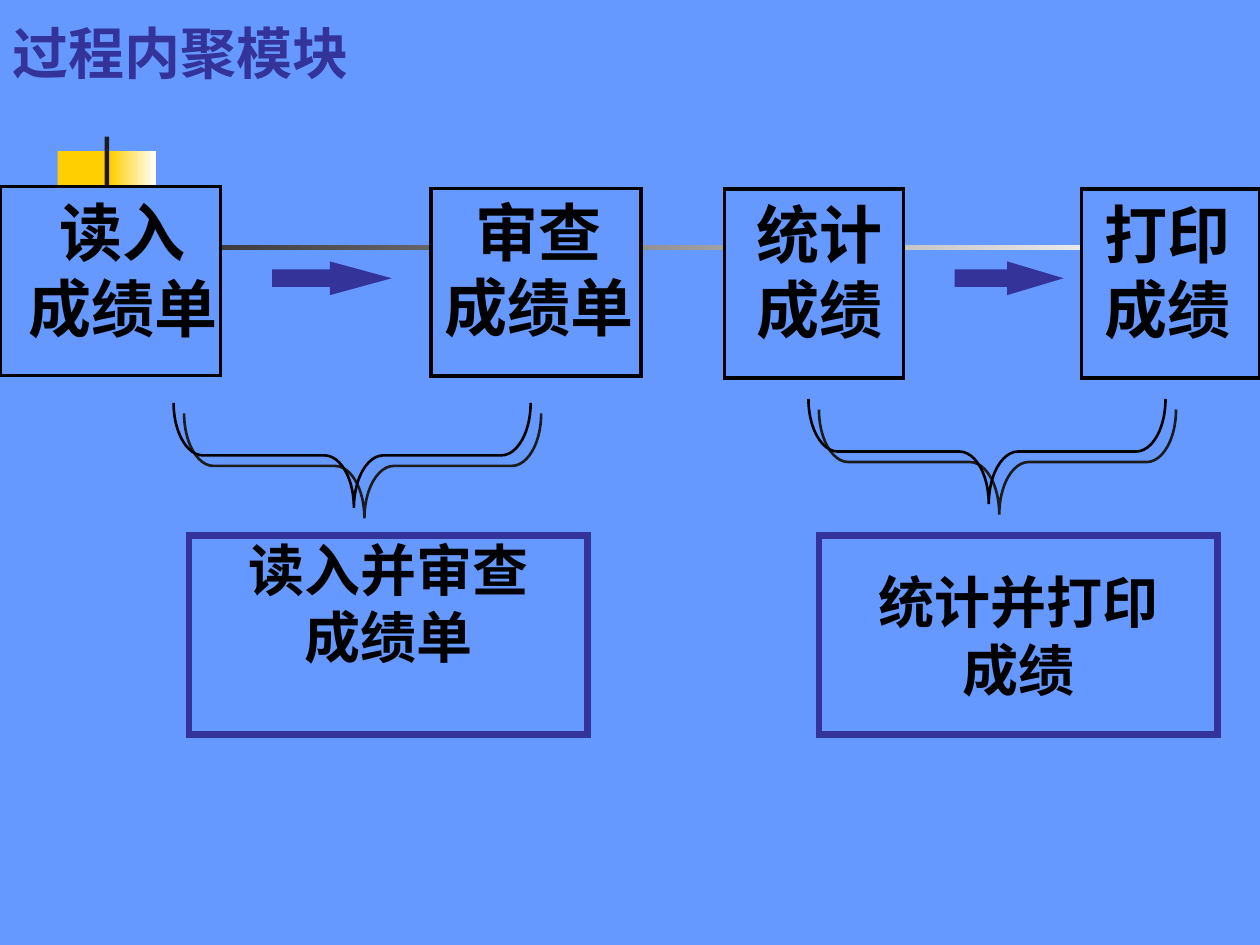
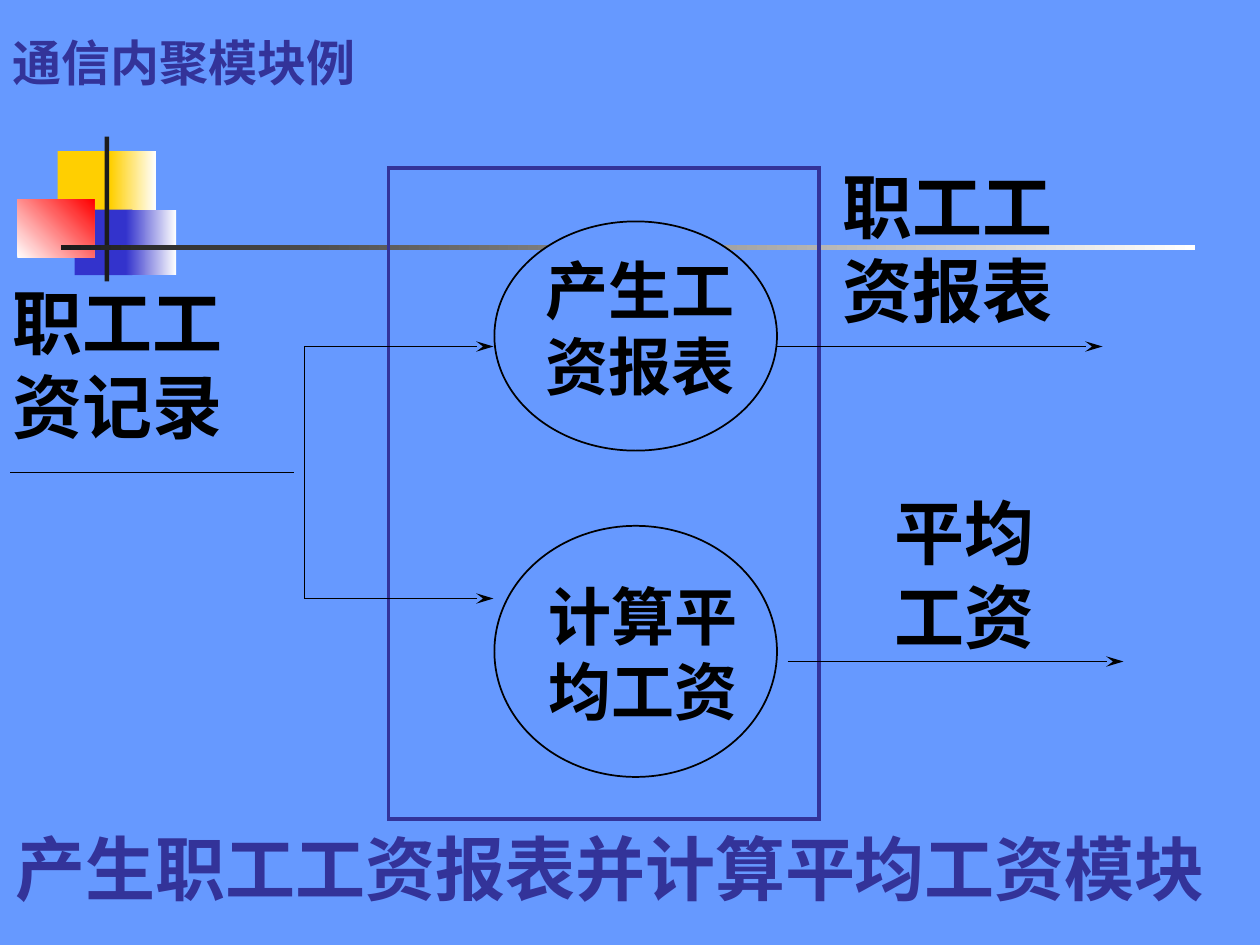
from collections import namedtuple

from lxml.etree import SubElement
from pptx import Presentation
from pptx.dml.color import RGBColor
from pptx.enum.shapes import MSO_CONNECTOR, MSO_SHAPE
from pptx.enum.text import MSO_ANCHOR, MSO_AUTO_SIZE, PP_ALIGN
from pptx.oxml.ns import qn
from pptx.util import Pt

SKY = RGBColor(0x66, 0x99, 0xFF)
INDIGO = RGBColor(0x33, 0x33, 0x99)
BLACK = RGBColor(0x00, 0x00, 0x00)
WHITE = RGBColor(0xFF, 0xFF, 0xFF)
CHARCOAL = RGBColor(0x1C, 0x1C, 0x1C)
GOLD = RGBColor(0xFF, 0xCF, 0x01)
BLUE = RGBColor(0x33, 0x33, 0xCC)
RED = RGBColor(0xFF, 0x00, 0x00)

HEADING_FONT = "Noto Sans CJK SC"
BOX_FONT = "Lato"
EAST_ASIAN_FONT = "Lato"

Box = namedtuple("Box", "left top width height")


def in_points(box):
    return [Pt(length) for length in box]


def add_shape(page, kind, box, fill=None, line=None, weight=1):
    shape = page.shapes.add_shape(kind, *in_points(box))
    shape.shadow.inherit = False
    if fill is None:
        shape.fill.background()
    else:
        shape.fill.solid()
        shape.fill.fore_color.rgb = fill
    if line is None:
        shape.line.fill.background()
    else:
        shape.line.color.rgb = line
        shape.line.width = Pt(weight)
        SubElement(shape.line._get_or_add_ln(), qn("a:miter")).set("lim", "800000")
    return shape


def set_gradient(shape, start, end, angle=0):
    shape.fill.gradient()
    shape.fill.gradient_angle = angle
    for stop, color, position in zip(shape.fill.gradient_stops, (start, end), (0, 1)):
        stop.color.rgb = color
        stop.position = position


def write(frame, text, size, color=BLACK, align=PP_ALIGN.LEFT, font=HEADING_FONT):
    """Fill a text frame with one paragraph per line of text, in bold."""
    frame.text = text
    for para in frame.paragraphs:
        para.alignment = align
        for span in para.runs:
            span.font.name = font
            span.font.size = Pt(size)
            span.font.bold = True
            span.font.color.rgb = color
            properties = span.font.fill._xPr
            SubElement(properties, qn("a:ea")).set("typeface", EAST_ASIAN_FONT)


def add_label(page, box, text, size, color=BLACK, align=PP_ALIGN.LEFT, wrap=True):
    label = page.shapes.add_textbox(*in_points(box))
    label.text_frame.word_wrap = wrap
    label.text_frame.auto_size = MSO_AUTO_SIZE.SHAPE_TO_FIT_TEXT
    write(label.text_frame, text, size, color, align)


def add_line(page, start, end, arrow=False):
    line = page.shapes.add_connector(
        MSO_CONNECTOR.STRAIGHT, *in_points(start), *in_points(end))
    line.line.color.rgb = BLACK
    line.line.width = Pt(1)
    if arrow:
        SubElement(line.line._get_or_add_ln(), qn("a:tailEnd"),
                   type="stealth", w="med", len="lg")
    SubElement(line.element.spPr, qn("a:effectLst"))


def add_ornament(page, left, top, with_lower_squares):
    upper_squares = [
        (Box(0, 8.3, 34.56, 37.44), GOLD, None, 0),
        (Box(30.24, 8.3, 25.92, 37.44), GOLD, WHITE, 0),
    ]
    lower_squares = [
        (Box(9.6, 41.76, 33.12, 37.44), BLUE, None, 0),
        (Box(38.88, 41.76, 28.8, 37.44), BLUE, WHITE, 0),
        (Box(-23.04, 36, 43.92, 33.4), WHITE, RED, 45),
    ]
    bars = [
        (Box(26.8, 0, 2.6, 82.8), CHARCOAL, None, 0),
        (Box(1.8, 62, 648, 2.8), CHARCOAL, WHITE, 0),
    ]
    squares = upper_squares + (lower_squares if with_lower_squares else [])
    for part, start, end, angle in squares + bars:
        box = part._replace(left=left + part.left, top=top + part.top)
        shape = add_shape(page, MSO_SHAPE.RECTANGLE, box, start)
        if end is not None:
            set_gradient(shape, start, end, angle)


def add_page(deck, title, box, size, with_lower_squares):
    page = deck.slides.add_slide(deck.slide_layouts[5])
    heading = page.shapes.title
    heading.left, heading.top, heading.width, heading.height = in_points(box)
    heading.text_frame.vertical_anchor = MSO_ANCHOR.MIDDLE
    write(heading.text_frame, title, size, INDIGO)
    add_ornament(page, 33, 78, with_lower_squares)
    return page


def add_stage(page, box, text, shift, width, drop=0.0, align=PP_ALIGN.LEFT):
    """Draw one processing step, its label offset from the top left corner."""
    add_shape(page, MSO_SHAPE.RECTANGLE, box, SKY, BLACK, 2)
    label_box = Box(box.left + shift, box.top + drop, width, 93.6)
    add_label(page, label_box, text, 36, align=align, wrap=False)


def add_flow_arrow(page, box, head):
    arrow = add_shape(page, MSO_SHAPE.RIGHT_ARROW, box, INDIGO, INDIGO)
    arrow.adjustments[1] = head


def add_brace(page, box):
    """Draw a brace that spans the box and points down, with a hard shadow."""
    upright = Box(box.left + (box.width - box.height) / 2,
                  box.top + (box.height - box.width) / 2, box.height, box.width)
    brace = add_shape(page, MSO_SHAPE.LEFT_BRACE, upright, None, BLACK, 1.5)
    brace.rotation = 270
    brace.adjustments[0] = 0.28
    brace.adjustments[1] = 0.505
    effects = brace.element.spPr.find(qn("a:effectLst"))
    shadow = SubElement(effects, qn("a:outerShdw"), blurRad="0", dist=str(Pt(8.5)),
                        dir="2700000", algn="ctr", rotWithShape="0")
    SubElement(shadow, qn("a:srgbClr")).set("val", str(CHARCOAL))


def add_merged_module(page, box, text, anchor):
    module = add_shape(page, MSO_SHAPE.RECTANGLE, box, SKY, INDIGO, 4)
    frame = module.text_frame
    frame.word_wrap = False
    frame.vertical_anchor = anchor
    if anchor == MSO_ANCHOR.TOP:
        frame.margin_top = 0
    write(frame, text, 32, align=PP_ALIGN.CENTER, font=BOX_FONT)


def fill_procedural_page(page):
    center = PP_ALIGN.CENTER
    add_stage(page, Box(0, 106.7, 126, 108), "读入\n成绩单", 9, 122.4, 0.3, center)
    add_stage(page, Box(246.2, 107.8, 120, 107), "审查\n成绩单", 0.4, 122.4, -0.9, center)
    add_stage(page, Box(414, 108, 102.4, 108), "统计\n成绩", 11.2, 86.4)
    add_stage(page, Box(618, 108, 102, 108), "打印\n成绩", 6, 95.76)
    add_flow_arrow(page, Box(156, 150, 66, 18), 1.83)
    add_flow_arrow(page, Box(546, 150, 60, 18), 1.67)
    add_brace(page, Box(99.2, 230.2, 204, 60))
    add_brace(page, Box(462, 228, 204, 60))
    add_merged_module(page, Box(108, 306, 228, 114), "读入并审查\n成绩单", MSO_ANCHOR.TOP)
    add_merged_module(page, Box(468, 306, 228, 114), "统计并打印\n成绩", MSO_ANCHOR.MIDDLE)


def add_process(page, box, text, shift, drop, width):
    """Draw a process ellipse, its label offset from the top left corner."""
    add_shape(page, MSO_SHAPE.OVAL, box, SKY, BLACK)
    add_label(page, Box(box.left + shift, box.top + drop, width, 93.6), text, 36)


def add_input_fork(page, box):
    """Split the input line into two arrows at the corners of the box."""
    right, bottom = box.left + box.width, box.top + box.height
    middle = box.top + box.height / 2
    for level in (box.top, bottom):
        add_line(page, (box.left, level), (right, level), arrow=True)
    add_line(page, (box.left, box.top), (box.left, bottom))
    add_line(page, (6, middle), (box.left - 6, middle))


def fill_communication_page(page):
    add_shape(page, MSO_SHAPE.RECTANGLE, Box(222, 96, 246, 372), None, INDIGO, 2.25)
    add_process(page, Box(282.5, 126.5, 161.5, 131), "产生工资报表", 22.3, 13.9, 145.4)
    add_process(page, Box(282.5, 300.5, 161.5, 143.5), "计算平均工资", 24, 25.9, 131.8)
    add_input_fork(page, Box(174, 198, 108, 144))
    add_line(page, (444, 198), (630, 198), arrow=True)
    add_line(page, (450, 378), (642, 378), arrow=True)
    add_label(page, Box(0, 156, 156, 103), "职工工资记录", 40)
    add_label(page, Box(474.4, 90.2, 162, 103), "职工工资报表", 40)
    add_label(page, Box(504, 276.2, 131, 103), "平均工资", 40)
    add_label(page, Box(2, 468, 700, 55.4), "产生职工工资报表并计算平均工资模块",
              40, INDIGO, wrap=False)


def main():
    deck = Presentation()
    deck.slide_width, deck.slide_height = Pt(720), Pt(540)
    background = deck.slide_master.background.fill
    background.solid()
    background.fore_color.rgb = SKY
    fill_procedural_page(
        add_page(deck, "过程内聚模块", Box(0, 0, 444, 60), 32, False))
    fill_communication_page(
        add_page(deck, "通信内聚模块例", Box(0, 5, 612, 61), 28, True))
    deck.save("out.pptx")


if __name__ == "__main__":
    main()
